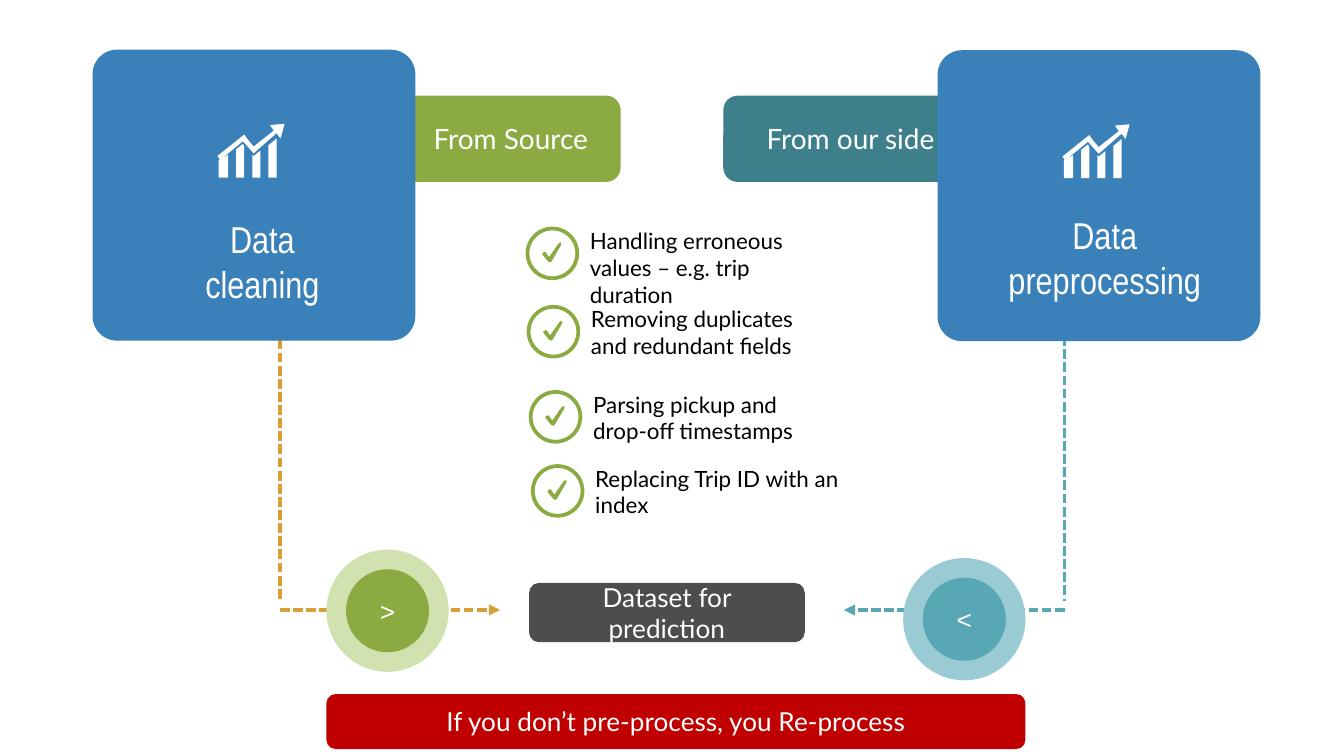
import lxml.etree
import pptx
import pptx.dml.color
import pptx.enum.dml
import pptx.enum.shapes
import pptx.enum.text
import pptx.oxml.ns
import pptx.util

Cm = pptx.util.Cm
Pt = pptx.util.Pt
SHAPE = pptx.enum.shapes.MSO_SHAPE
ALIGN = pptx.enum.text.PP_ALIGN
ANCHOR = pptx.enum.text.MSO_ANCHOR

WHITE, BLACK, BLUE, GREEN = "FFFFFF", "000000", "3A81BA", "8BAB42"
ORANGE, TEAL = "D89F39", "57A7B5"

# Outlines in units of 0.01 inch
ICON_UNIT = Cm(0.0254)
BARS = [
    [(8, 23), (8, 40), (1, 40), (1, 27)],
    [(19, 15), (20, 17), (20, 40), (14, 40), (14, 19)],
    [(26, 23), (27, 24), (32, 20), (32, 40), (26, 40)],
    [(44, 11), (44, 40), (38, 40), (38, 16)],
]
TREND_ARROW = [(50, 0), (47, 11), (44, 7), (27, 22), (19, 13), (2, 27), (0, 24),
               (20, 8), (22, 11), (27, 17), (42, 5), (39, 1)]
TICK = [(5.5, 15), (4, 14), (0, 9), (0.5, 7.5), (1.5, 7), (3, 8), (5, 11),
        (12, 1), (13.5, 0), (14.5, 0.8), (14, 2), (7, 14)]


def color(value):
    return pptx.dml.color.RGBColor.from_string(value)


def add_box(page, kind, left, top, width, height, fill=None, outline=None):
    box = page.shapes.add_shape(kind, Cm(left), Cm(top), Cm(width), Cm(height))
    box.shadow.inherit = False
    if fill:
        box.fill.solid()
        box.fill.fore_color.rgb = color(fill)
    else:
        box.fill.background()
    if outline:
        box.line.color.rgb = color(outline)
        box.line.width = Pt(2)
    else:
        box.line.fill.background()
    return box


def write(box, lines, size, font="Lato", ink=WHITE, align=ALIGN.CENTER,
          anchor=ANCHOR.MIDDLE):
    frame = box.text_frame
    frame.word_wrap = True
    frame.vertical_anchor = anchor
    for index, line in enumerate(lines):
        para = frame.add_paragraph() if index else frame.paragraphs[0]
        para.alignment = align
        span = para.add_run()
        span.text = line
        span.font.size = Pt(size)
        span.font.name = font
        span.font.color.rgb = color(ink)


def add_text(page, left, top, width, height, lines, size, **style):
    box = page.shapes.add_textbox(Cm(left), Cm(top), Cm(width), Cm(height))
    write(box, lines, size, anchor=ANCHOR.TOP, **style)


def add_outline(page, left, top, contours, fill):
    builder = page.shapes.build_freeform(*contours[0][0], scale=ICON_UNIT)
    for index, points in enumerate(contours):
        if index:
            builder.move_to(*points[0])
        builder.add_line_segments(points[1:], close=True)
    outline = builder.convert_to_shape(Cm(left), Cm(top))
    outline.shadow.inherit = False
    outline.fill.solid()
    outline.fill.fore_color.rgb = color(fill)
    outline.line.fill.background()


def add_dashes(page, x1, y1, x2, y2, ink, arrow=False):
    line = page.shapes.add_connector(
        pptx.enum.shapes.MSO_CONNECTOR.STRAIGHT, Cm(x1), Cm(y1), Cm(x2), Cm(y2))
    line.line.color.rgb = color(ink)
    line.line.width = Pt(1.75)
    line.line.dash_style = pptx.enum.dml.MSO_LINE.SQUARE_DOT
    if arrow:
        tail = lxml.etree.SubElement(line.line._get_or_add_ln(),
                                     pptx.oxml.ns.qn("a:tailEnd"))
        tail.set("type", "triangle")
    lxml.etree.SubElement(line._element.spPr, pptx.oxml.ns.qn("a:effectLst"))


def add_tab(page, left, top, width, height, label, fill, align, inset):
    """Coloured tab that sticks out from behind a card."""
    tab = add_box(page, SHAPE.ROUNDED_RECTANGLE, left, top, width, height, fill)
    tab.text_frame.margin_left = Cm(inset)
    write(tab, [label], 15, align=align)


def add_flow(page, elbow_x, elbow_y, start_y, tip_x, ink):
    """Dashed path down from a card, then across to an arrowhead."""
    add_dashes(page, elbow_x, elbow_y, tip_x, elbow_y, ink, arrow=True)
    add_dashes(page, elbow_x, start_y, elbow_x, elbow_y - 0.17, ink)


def add_badge(page, left, top, size, sign, halo, fill):
    """Disc with a sign inside a paler ring."""
    inset = 0.37
    add_box(page, SHAPE.OVAL, left, top, size, size, halo)
    disc = add_box(page, SHAPE.OVAL, left + inset, top + inset,
                   size - 2 * inset, size - 2 * inset, fill)
    write(disc, [sign], 14, font="Arial")


def add_check_item(page, left, top, height, label):
    """Ticked circle followed by its text."""
    add_box(page, SHAPE.OVAL, left, top, 0.94, 0.94, outline=GREEN)
    add_outline(page, left + 0.28, top + 0.26, [TICK], GREEN)
    add_text(page, left + 0.93, top - 0.15, 5.1, height, [label], 12,
             ink=BLACK, align=ALIGN.LEFT)


def add_card(page, left, top, width, height, lines, text_left, text_top, text_width):
    """Blue card with a growth icon and a title."""
    card = add_box(page, SHAPE.ROUNDED_RECTANGLE, left, top, width, height, BLUE)
    card.adjustments[0] = 0.084
    add_outline(page, left + 2.36, top + 1.4, BARS, WHITE)
    add_outline(page, left + 2.36, top + 1.4, [TREND_ARROW], WHITE)
    add_text(page, left + text_left, top + text_top, text_width, 1.96, lines, 20,
             font="Arial Narrow")


def add_bar(page, left, top, width, height, label, fill):
    """Rounded bar with a centred label."""
    bar = add_box(page, SHAPE.ROUNDED_RECTANGLE, left, top, width, height, fill)
    write(bar, [label], 14)


def main():
    deck = pptx.Presentation()
    deck.slide_width, deck.slide_height = Cm(25.4), Cm(14.29)
    page = deck.slides.add_slide(deck.slide_layouts[6])

    # Tabs behind the cards
    add_tab(page, 13.67, 1.81, 5.2, 1.63, "From our side", "3D808C", ALIGN.LEFT, 0.74)
    add_tab(page, 6.53, 1.81, 5.2, 1.63, "From Source", GREEN, ALIGN.CENTER, 1.3)

    # Paths to the dataset, with their badges
    add_flow(page, 5.29, 11.53, 4.93, 9.45, ORANGE)
    add_badge(page, 6.17, 10.39, 2.31, ">", "D2E1B0", GREEN)
    add_flow(page, 20.12, 11.53, 5.61, 15.95, TEAL)
    add_badge(page, 17.07, 10.55, 2.31, "<", "9ACAD3", TEAL)

    # Checklist
    for left, top, height, label in [
        (9.97, 4.32, 1.8, "Handling erroneous values – e.g. trip duration"),
        (9.99, 5.8, 1.27, "Removing duplicates and redundant fields"),
        (10.03, 7.41, 1.27, "Parsing pickup and drop-off timestamps"),
        (10.07, 8.81, 1.27, "Replacing Trip ID with an index"),
    ]:
        add_check_item(page, left, top, height, label)

    # Result and closing message
    add_bar(page, 10, 11.02, 5.21, 1.12, "Dataset for prediction", "4D4D4D")
    add_bar(page, 6.17, 13.12, 13.21, 1.04,
            "If you don’t pre-process, you Re-process", "C00000")

    # Cards
    add_card(page, 1.75, 0.94, 6.1, 5.5, ["Data", "cleaning"], 0.61, 3.02, 5.2)
    add_card(page, 17.72, 0.95, 6.1, 5.5, ["Data", "preprocessing"], 0.67, 2.94, 4.98)

    deck.save("out.pptx")


if __name__ == "__main__":
    main()
